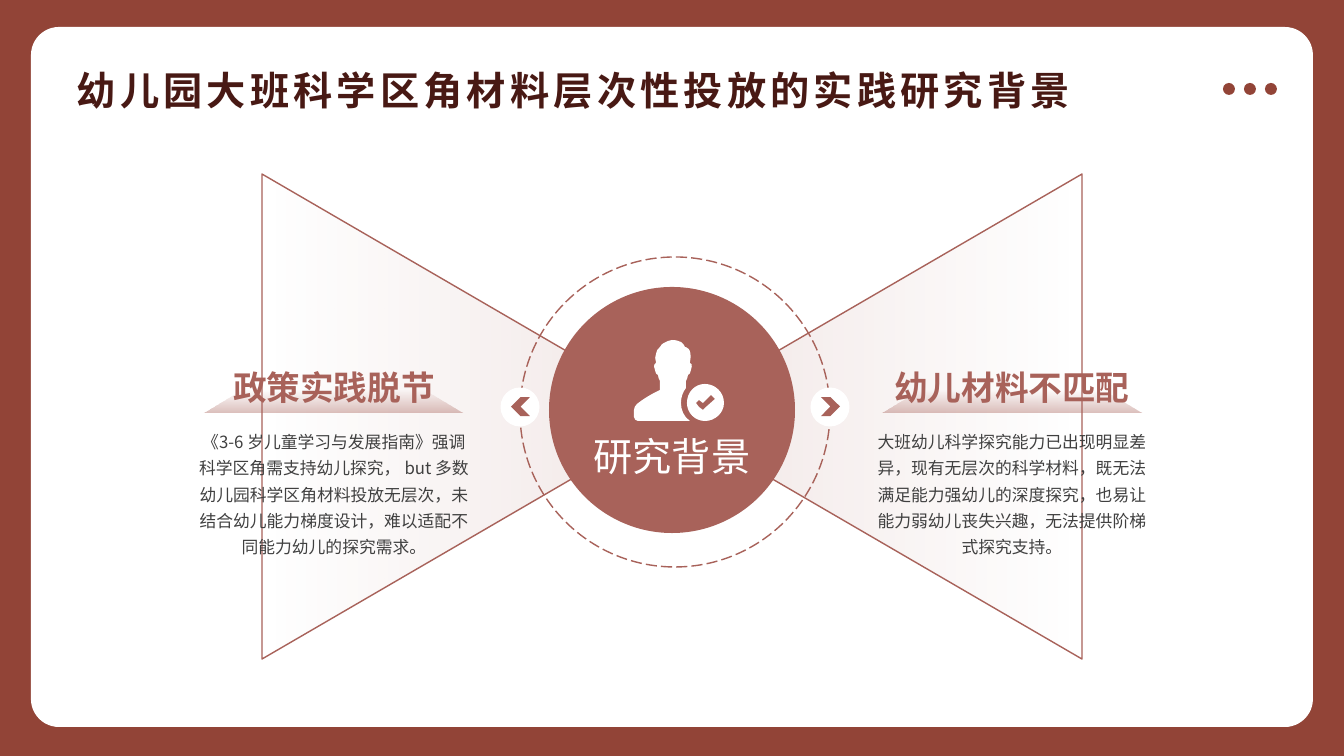
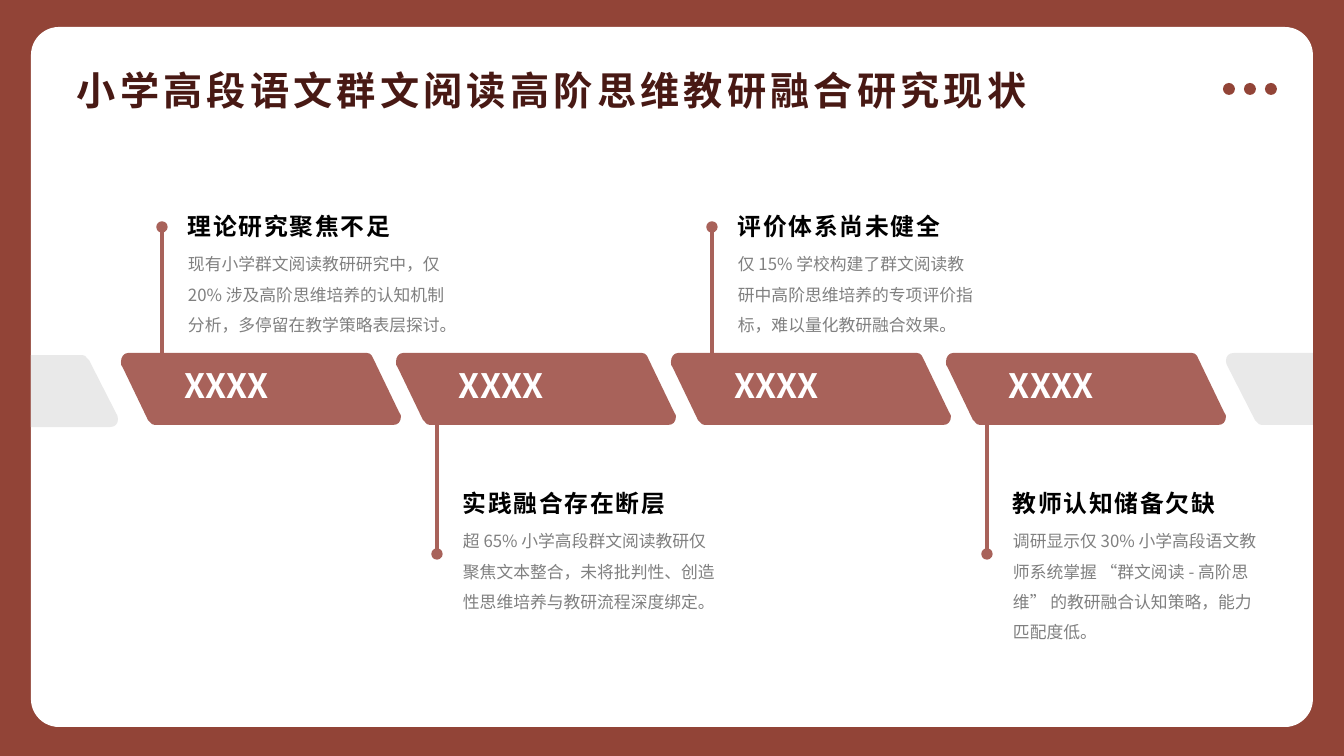
from typing import NamedTuple

from lxml.etree import SubElement
from pptx import Presentation
from pptx.dml.color import RGBColor
from pptx.enum.dml import MSO_LINE
from pptx.enum.shapes import MSO_CONNECTOR, MSO_SHAPE as Shape
from pptx.enum.text import MSO_ANCHOR, PP_ALIGN
from pptx.oxml.ns import qn
from pptx.util import Emu, Pt

SLIDE_W, SLIDE_H = 1344, 756
EMU_PER_PX = 12192000 / SLIDE_W


class TextStyle(NamedTuple):
    size: int
    color: str
    bold: bool = False
    tracking: float = 0
    leading: float = 1
    centred: bool = False
    inset: tuple = (10, 5)
    wrap: bool = True


class Theme:
    font = "Noto Sans CJK SC"
    frame = "924437"
    accent = "A8625A"
    white = "FFFFFF"
    stub = "E9E9E9"
    title = TextStyle(28, "481914", bold=True, tracking=3)
    hub = TextStyle(28, white, centred=True, inset=(0, 0))
    side_head = TextStyle(24, accent, bold=True, centred=True, inset=(0, 0), wrap=False)
    side_body = TextStyle(12, "404040", leading=1.3, centred=True, inset=(0, 0))
    step_tag = TextStyle(24, white, bold=True)
    step_head = TextStyle(17, "000000", bold=True, tracking=1.2)
    step_body = TextStyle(12, "808080", leading=1.5)


BACKGROUND_TITLE = "幼儿园大班科学区角材料层次性投放的实践研究背景"
HUB_LABEL = "研究背景"
SIDES = [  # heading, heading width, body
    ("政策实践脱节", 202,
     "《3-6 岁儿童学习与发展指南》强调科学区角需支持幼儿探究， but 多数幼儿园科学区角材料投放无层次，"
     "未结合幼儿能力梯度设计，难以适配不同能力幼儿的探究需求。"),
    ("幼儿材料不匹配", 236,
     "大班幼儿科学探究能力已出现明显差异，现有无层次的科学材料，既无法满足能力强幼儿的深度探究，"
     "也易让能力弱幼儿丧失兴趣，无法提供阶梯式探究支持。"),
]

STATUS_TITLE = "小学高段语文群文阅读高阶思维教研融合研究现状"
STEP_TAG = "XXXX"
STEPS = [  # heading, body, body width
    ("理论研究聚焦不足",
     "现有小学群文阅读教研研究中，仅 20% 涉及高阶思维培养的认知机制分析，多停留在教学策略表层探讨。", 291),
    ("实践融合存在断层",
     "超 65% 小学高段群文阅读教研仅聚焦文本整合，未将批判性、创造性思维培养与教研流程深度绑定。", 275),
    ("评价体系尚未健全",
     "仅 15% 学校构建了群文阅读教研中高阶思维培养的专项评价指标，难以量化教研融合效果。", 257),
    ("教师认知储备欠缺",
     "调研显示仅 30% 小学高段语文教师系统掌握 “群文阅读 - 高阶思维” 的教研融合认知策略，能力匹配度低。", 273),
]

# Outlines: a pair is a corner, six numbers are a cubic curve (two handles and its end).
CHECK = [(77, 55), (69, 63), (65, 60), (62, 63), (65, 67), (69, 70), (72, 67), (81, 59)]
BADGE = [(71, 44), (81, 44, 90, 52, 90, 63), (90, 73, 81, 81, 71, 81),
         (61, 81, 53, 73, 53, 63), (53, 52, 61, 44, 71, 44)]
PERSON = [
    (38, 0), (42, 0, 45, 1, 47, 2), (50, 4, 51, 7, 51, 7), (51, 7, 59, 7, 56, 22), (56, 23),
    (57, 23, 59, 24, 57, 30), (56, 34, 55, 35, 54, 35), (54, 37, 53, 39, 52, 41), (52, 48),
    (49, 52, 47, 57, 47, 63), (47, 70, 50, 77, 56, 81), (4, 81), (2, 81, 0, 79, 0, 77),
    (0, 70), (0, 68, 1, 66, 3, 64), (13, 56, 24, 51, 26, 50), (26, 41),
    (25, 39, 24, 37, 24, 35), (23, 35, 22, 34, 21, 30), (19, 25, 21, 23, 22, 23), (22, 22),
    (21, 19, 21, 17, 22, 14), (22, 11, 24, 9, 26, 7), (27, 5, 29, 3, 30, 3),
    (31, 2, 33, 2, 34, 1), (35, 1, 37, 0, 38, 0),
]
BANNER = [
    (7, 0), (246, 0), (248, 0, 250, 1, 251, 3), (252, 5), (278, 59),
    (279, 61, 280, 62, 280, 63), (280, 69, 277, 72, 272, 72), (34, 72),
    (32, 72, 30, 71, 29, 69), (27, 67), (2, 15), (0, 13, 0, 11, 0, 9), (0, 4, 3, 0, 7, 0),
]
BANNER_H = 72
STUB = [
    (8, 0), (87, 0), (87, BANNER_H), (36, 72), (34, 72, 32, 71, 31, 69), (29, 67),
    (2, 14), (1, 13, 0, 10, 0, 8), (0, 3, 3, 0, 8, 0),
]


def px(length):
    return Emu(round(length * EMU_PER_PX))


def rgb(color):
    return RGBColor.from_string(color)


def paint(shape, fill=None, line=None):
    shape.shadow.inherit = False
    if fill:
        shape.fill.solid()
        shape.fill.fore_color.rgb = rgb(fill)
    else:
        shape.fill.background()
    if line:
        shape.line.color.rgb = rgb(line)
        shape.line.width = Pt(1)
    else:
        shape.line.fill.background()
    return shape


def add_preset(page, kind, left, top, width, height, fill=None, line=None):
    box = [px(n) for n in (left, top, width, height)]
    return paint(page.shapes.add_shape(kind, *box), fill, line)


def add_disc(page, centre_x, centre_y, size, fill=None, line=None):
    return add_preset(page, Shape.OVAL, centre_x - size / 2, centre_y - size / 2,
                      size, size, fill, line)


def fade(shape, alphas):
    """Fill from top to bottom with the accent at two opacities in percent."""
    shape.fill.gradient()
    shape.fill.gradient_angle = 270
    for stop in shape.fill.gradient_stops:
        stop.color.rgb = rgb(Theme.accent)
    gradient = shape._element.spPr.find(qn("a:gradFill"))
    for color, alpha in zip(gradient.iter(qn("a:srgbClr")), alphas):
        SubElement(color, qn("a:alpha")).set("val", str(alpha * 1000))


def add_outline(page, contours, left, top, fill):
    """Draw the contours as one freeform, its curves as true cubic segments."""
    builder = None
    for contour in contours:
        corners = [(px(left + part[-2]), px(top + part[-1])) for part in contour]
        if builder is None:
            builder = page.shapes.build_freeform(*corners[0])
        else:
            builder.move_to(*corners[0])
        builder.add_line_segments(corners[1:], close=True)
    shape = builder.convert_to_shape()

    parts = [part for contour in contours for part in contour[1:]]
    segments = list(shape._element.iter(qn("a:lnTo")))
    for part, segment in zip(parts, segments):
        if len(part) == 6:
            segment.tag = qn("a:cubicBezTo")
            for index, (x, y) in enumerate((part[:2], part[2:4])):
                handle = SubElement(segment, qn("a:pt"))
                handle.set("x", str(px(left + x) - shape.left))
                handle.set("y", str(px(top + y) - shape.top))
                segment.insert(index, handle)
    return paint(shape, fill)


def add_text(page, text, style, left, top, width, height):
    box = page.shapes.add_textbox(px(left), px(top), px(width), px(height))
    frame = box.text_frame
    frame.word_wrap = style.wrap
    frame.margin_left = frame.margin_right = px(style.inset[0])
    frame.margin_top = frame.margin_bottom = px(style.inset[1])
    frame.text = text
    para = frame.paragraphs[0]
    para.line_spacing = style.leading
    para.alignment = PP_ALIGN.CENTER if style.centred else PP_ALIGN.LEFT
    span = para.runs[0]
    span.font.size = Pt(style.size)
    span.font.bold = style.bold
    span.font.color.rgb = rgb(style.color)
    span.font.name = Theme.font
    properties = span._r.get_or_add_rPr()
    SubElement(properties, qn("a:ea")).set("typeface", Theme.font)
    if style.tracking:
        properties.set("spc", str(round(style.tracking * 100)))
    return box


def add_page(deck, title):
    """Start a page with the frame, white card, three dots and title."""
    page = deck.slides.add_slide(deck.slide_layouts[6])
    page.background.fill.solid()
    page.background.fill.fore_color.rgb = rgb(Theme.frame)
    card = add_preset(page, Shape.ROUNDED_RECTANGLE, 31, 27, 1282, 700, Theme.white)
    card.adjustments[0] = 0.04
    for index in range(3):
        add_disc(page, 1229 + 21 * index, 89, 12, Theme.frame)
    heading = add_text(page, title, Theme.title, 67, 51, 1210, 78)
    heading.text_frame.vertical_anchor = MSO_ANCHOR.MIDDLE
    return page


def build_background(deck):
    page = add_page(deck, BACKGROUND_TITLE)
    for left, turn in ((631, 270), (228, 90)):
        wing = add_preset(page, Shape.ISOSCELES_TRIANGLE, left, 208, 485, 417,
                          line=Theme.accent)
        fade(wing, (16, 0))
        wing.rotation = turn

    add_disc(page, 672, 410, 246, Theme.accent)
    add_outline(page, (CHECK, BADGE, PERSON), 634, 340, Theme.white)
    add_text(page, HUB_LABEL, Theme.hub, 587, 432, 170, 47)

    side_width = 272
    for index, (head, head_width, body) in enumerate(SIDES):
        left = 198 + 678 * index
        plinth = add_preset(page, Shape.TRAPEZOID, left + 6, 391, 260, 21)
        plinth.adjustments[0] = 1.83
        fade(plinth, (0, 42))
        head_left = left + (side_width - head_width) / 2
        add_text(page, head, Theme.side_head, head_left, 367, head_width, 40)
        add_text(page, body, Theme.side_body, left, 426, side_width, 132)

    ring_x, ring_size = 675, 310
    ring = add_disc(page, ring_x, 412, ring_size, line=Theme.accent)
    ring.line.dash_style = MSO_LINE.LONG_DASH
    for side, turn in ((-1, 180), (1, 0)):
        centre_x = ring_x + side * ring_size / 2
        add_disc(page, centre_x, 407, 39, Theme.white)
        arrow = add_preset(page, Shape.CHEVRON, centre_x - 9, 397, 19, 19, Theme.accent)
        arrow.rotation = turn


def add_pin(page, x, start_y, end_y):
    stem = page.shapes.add_connector(MSO_CONNECTOR.STRAIGHT, px(x), px(start_y), px(x), px(end_y))
    stem.line.color.rgb = rgb(Theme.accent)
    stem.line.width = Pt(2.25)
    SubElement(stem._element.spPr, qn("a:effectLst"))
    add_disc(page, x, end_y, 10, Theme.accent, Theme.accent)


def build_status(deck):
    page = add_page(deck, STATUS_TITLE)
    banner_top = 353
    for index, (head, body, body_width) in enumerate(STEPS):
        left = 121 + 275 * index
        below = index % 2
        pin_y = 554 if below else 227
        head_top = 484 if below else 207
        add_outline(page, [BANNER], left, banner_top, Theme.accent)
        add_pin(page, left + 41, banner_top + BANNER_H / 2, pin_y)
        add_text(page, STEP_TAG, Theme.step_tag, left + 53, 360, 154, 58)
        add_text(page, body, Theme.step_body, left + 57, head_top + 32, body_width, 74)
        add_text(page, head, Theme.step_head, left + 57, head_top, 257, 39)

    add_outline(page, [STUB], 1226, banner_top, Theme.stub)
    left_stub = add_outline(page, [STUB], 31, banner_top + 2, Theme.stub)
    left_stub.rotation = 180


def main():
    deck = Presentation()
    deck.slide_width, deck.slide_height = px(SLIDE_W), px(SLIDE_H)
    build_background(deck)
    build_status(deck)
    deck.save("out.pptx")


if __name__ == "__main__":
    main()
